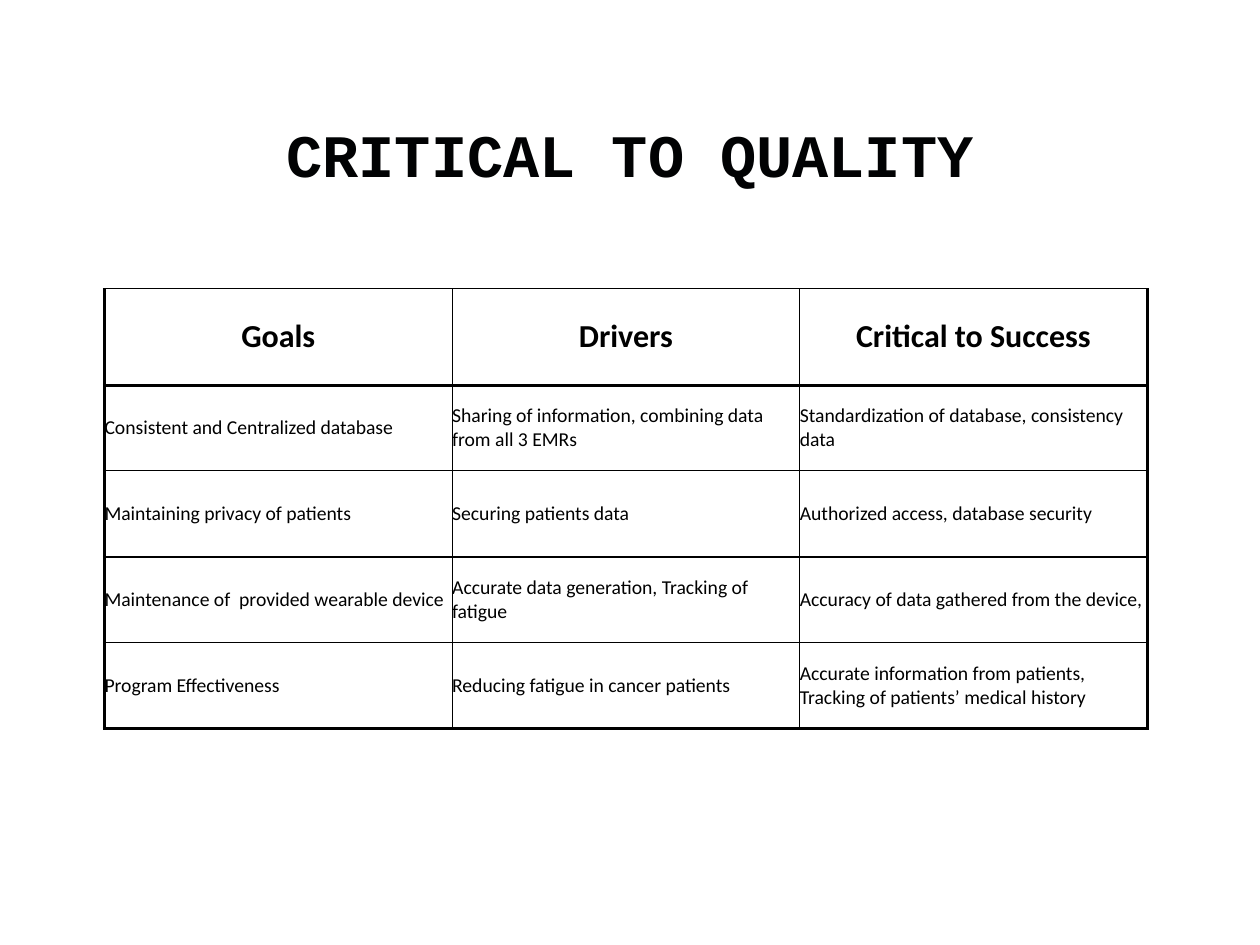
import pptx
import pptx.dml.color
import pptx.enum.text
import pptx.oxml
import pptx.oxml.ns
import pptx.util
from dataclasses import dataclass

Inches = pptx.util.Inches
Pt = pptx.util.Pt
RGB = pptx.dml.color.RGBColor
ALIGN = pptx.enum.text.PP_ALIGN
ANCHOR = pptx.enum.text.MSO_ANCHOR


@dataclass(frozen=True)
class Theme:
    title_font: str = "Courier New"
    table_font: str = "Calibri"
    title_color: str = "010203"
    ink: str = "000000"
    paper: str = "FFFFFF"
    title_size: int = 49
    header_size: int = 26
    body_size: int = 16
    thin: int = 1
    thick: int = 3


THEME = Theme()

ROWS = [
    ("Goals", "Drivers", "Critical to Success"),
    ("Consistent and Centralized database",
     "Sharing of information, combining data from all 3 EMRs",
     "Standardization of database, consistency data"),
    ("Maintaining privacy of patients",
     "Securing patients data",
     "Authorized access, database security"),
    ("Maintenance of  provided wearable device",
     "Accurate data generation, Tracking of fatigue",
     "Accuracy of data gathered from the device,"),
    ("Program Effectiveness",
     "Reducing fatigue in cancer patients",
     "Accurate information from patients, Tracking of patients’ medical history"),
]
ROW_HEIGHTS = [1.09, 0.96, 0.98, 0.96, 0.98]


def style_paragraph(p, font, size, color, bold, align):
    p.alignment = align
    p.font.name = font
    p.font.size = Pt(size)
    p.font.bold = bold
    p.font.color.rgb = RGB.from_string(color)


def set_borders(cell, **widths):
    """Draw the cell's sides; widths are points for L, R, T and B."""
    tc_pr = cell._tc.get_or_add_tcPr()
    for i, side in enumerate("LRTB"):
        tc_pr.insert(i, pptx.oxml.parse_xml(
            f'<a:ln{side} {pptx.oxml.ns.nsdecls("a")} w="{Pt(widths[side])}">'
            f'<a:solidFill><a:srgbClr val="{THEME.ink}"/></a:solidFill>'
            f'<a:prstDash val="solid"/></a:ln{side}>'))


def add_title(slide, text, left, top, width, height):
    sp = slide.shapes.add_textbox(Inches(left), Inches(top), Inches(width), Inches(height))
    tf = sp.text_frame
    tf.word_wrap = True
    tf.vertical_anchor = ANCHOR.BOTTOM
    tf.margin_left = tf.margin_right = tf.margin_top = Inches(0.06)
    tf.margin_bottom = 0
    p = tf.paragraphs[0]
    p.text = text
    style_paragraph(p, THEME.title_font, THEME.title_size, THEME.title_color,
                    True, ALIGN.CENTER)


def add_quality_table(slide, rows, left, top, width, row_heights):
    n_rows, n_cols = len(rows), len(rows[0])
    table = slide.shapes.add_table(
        n_rows, n_cols, Inches(left), Inches(top),
        Inches(width), Inches(sum(row_heights))).table
    table.horz_banding = False
    for col in table.columns:
        col.width = Inches(width / n_cols)

    def weight(is_thick):
        return THEME.thick if is_thick else THEME.thin

    for r, texts in enumerate(rows):
        table.rows[r].height = Inches(row_heights[r])
        header = r == 0
        for c, text in enumerate(texts):
            cell = table.cell(r, c)
            cell.margin_left = cell.margin_right = 0
            cell.margin_top = cell.margin_bottom = 0
            cell.vertical_anchor = ANCHOR.MIDDLE
            cell.fill.solid()
            cell.fill.fore_color.rgb = RGB.from_string(THEME.paper)
            p = cell.text_frame.paragraphs[0]
            p.text = text
            style_paragraph(p, THEME.table_font,
                            THEME.header_size if header else THEME.body_size,
                            THEME.ink, header,
                            ALIGN.CENTER if header else ALIGN.LEFT)
            # Thick outer sides, bottom edge and rule under the header
            set_borders(cell, L=weight(c == 0), R=weight(c == n_cols - 1),
                        T=weight(r == 1), B=weight(r in (0, n_rows - 1)))


def main():
    prs = pptx.Presentation()
    prs.slide_width, prs.slide_height = Inches(14.22), Inches(10.67)
    slide = prs.slides.add_slide(prs.slide_layouts[6])
    add_title(slide, "CRITICAL TO QUALITY", 0.86, 0.51, 12.5, 1.63)
    add_quality_table(slide, ROWS, 1.18, 3.26, 11.77, ROW_HEIGHTS)
    prs.save("out.pptx")


if __name__ == "__main__":
    main()
